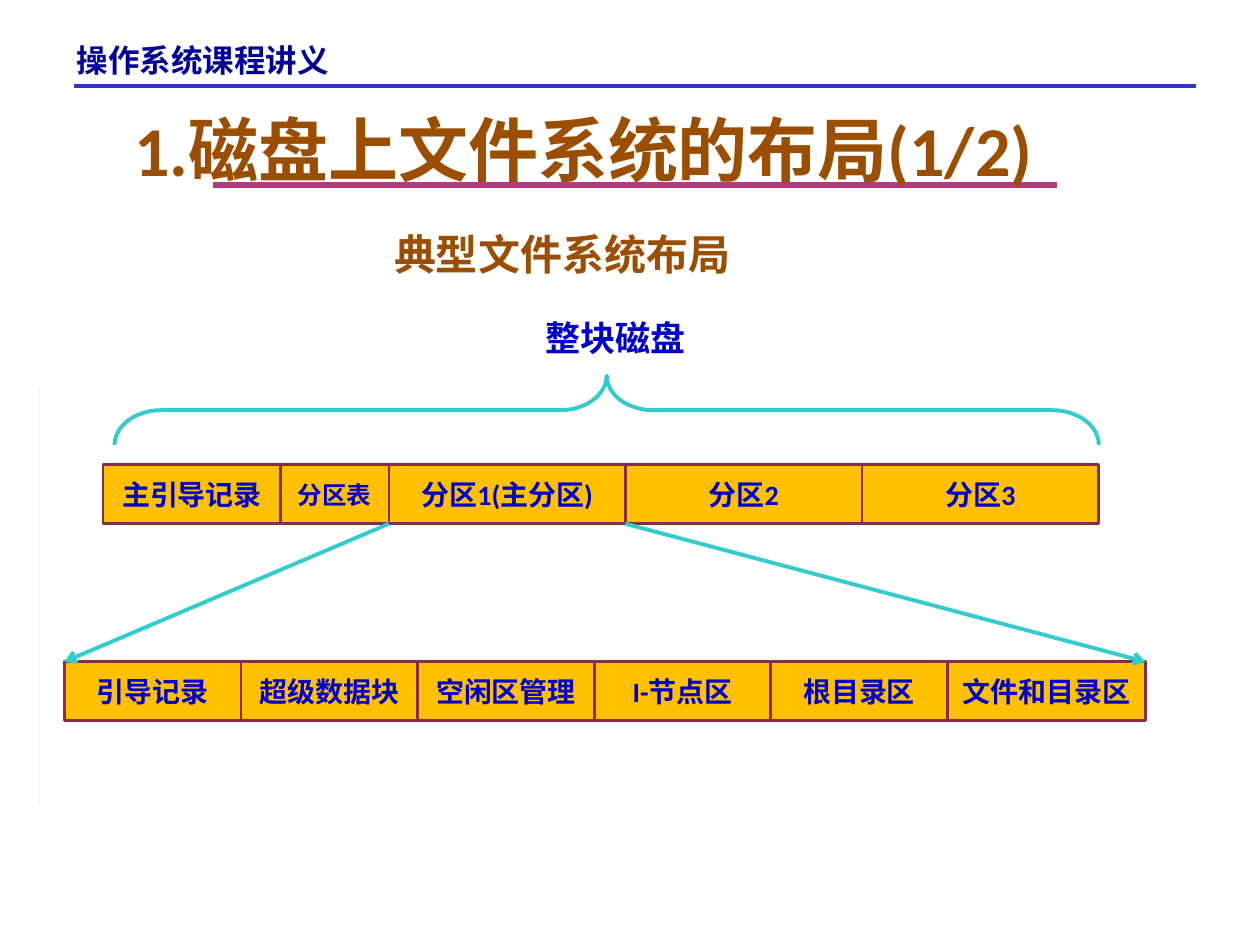
from lxml import etree
from pptx import Presentation
from pptx.dml.color import RGBColor
from pptx.enum.shapes import MSO_CONNECTOR, MSO_SHAPE
from pptx.enum.text import MSO_ANCHOR, MSO_AUTO_SIZE, PP_ALIGN
from pptx.oxml.ns import qn
from pptx.util import Cm, Pt

STRAIGHT = MSO_CONNECTOR.STRAIGHT
RECTANGLE, BRACE = MSO_SHAPE.RECTANGLE, MSO_SHAPE.LEFT_BRACE
TOP, MIDDLE, BOTTOM = MSO_ANCHOR.TOP, MSO_ANCHOR.MIDDLE, MSO_ANCHOR.BOTTOM
LEFT, CENTER = PP_ALIGN.LEFT, PP_ALIGN.CENTER
NO_AUTOFIT = MSO_AUTO_SIZE.NONE

NAVY = RGBColor(0x00, 0x00, 0x99)
BLUE = RGBColor(0x00, 0x00, 0xCC)
HEADER_BLUE = RGBColor(0x33, 0x33, 0xCC)
BROWN = RGBColor(0x9C, 0x4E, 0x00)
MAGENTA = RGBColor(0xB2, 0x3A, 0x7D)
AMBER = RGBColor(0xFF, 0xC0, 0x00)
MAROON = RGBColor(0x86, 0x2C, 0x4C)
TEAL = RGBColor(0x33, 0xCC, 0xCC)
PALE = RGBColor(0xF0, 0xF0, 0xF0)

ROW_HEIGHT = 1.19
DISK_LEFT, DISK_TOP = 2.08, 9.37
DISK_BLOCKS = [("主引导记录", 3.58, 16), ("分区表", 2.18, 14),
               ("分区1(主分区)", 4.77, 16), ("分区2", 4.77, 16),
               ("分区3", 4.77, 16)]
PARTITION_LEFT, PARTITION_TOP = 1.3, 13.34
PARTITION_BLOCKS = [("引导记录", 3.56, 16), ("超级数据块", 3.56, 16),
                    ("空闲区管理", 3.56, 16), ("I-节点区", 3.56, 16),
                    ("根目录区", 3.56, 16), ("文件和目录区", 3.99, 16)]


def set_all(target, values):
    for name, value in values.items():
        setattr(target, name, value)


def place(shape, left, top, width, height):
    set_all(shape, {"left": Cm(left), "top": Cm(top),
                    "width": Cm(width), "height": Cm(height)})


def write(shape, text, size, color, font="Calibri", align=CENTER, anchor=MIDDLE):
    frame = shape.text_frame
    set_all(frame, {"word_wrap": True, "auto_size": NO_AUTOFIT,
                    "vertical_anchor": anchor})
    paragraph = frame.paragraphs[0]
    set_all(paragraph, {"text": text, "alignment": align, "space_before": Pt(0)})
    set_all(paragraph.runs[0].font, {"name": font, "size": Pt(size), "bold": True})
    paragraph.runs[0].font.color.rgb = color


def add_label(shapes, box, text, size, color, **style):
    label = shapes.add_textbox(*map(Cm, box))
    write(label, text, size, color, **style)


def add_line(shapes, start, end, color, width, arrow=False):
    line = shapes.add_connector(STRAIGHT, *map(Cm, start + end))
    line.line.color.rgb = color
    line.line.width = Pt(width)
    if arrow:
        etree.SubElement(line.line._get_or_add_ln(), qn("a:tailEnd"), type="arrow")
    etree.SubElement(line._element.spPr, qn("a:effectLst"))
    return line


def add_block_row(shapes, left, top, blocks):
    """Draw touching blocks from left to right and return their edges."""
    edges = [left]
    for text, width, size in blocks:
        block = shapes.add_shape(RECTANGLE, Cm(edges[-1]), Cm(top),
                                 Cm(width), Cm(ROW_HEIGHT))
        block.shadow.inherit = False
        block.fill.solid()
        block.fill.fore_color.rgb = AMBER
        block.line.color.rgb = MAROON
        block.line.width = Pt(1.5)
        write(block, text, size, BLUE)
        edges.append(edges[-1] + width)
    return edges


def add_disk_brace(shapes):
    brace = shapes.add_shape(BRACE, Cm(11.53), Cm(-1.65), Cm(1.4), Cm(19.84))
    brace.rotation = 90
    brace.adjustments[0] = 0.67
    brace.shadow.inherit = False
    brace.fill.background()
    brace.line.color.rgb = TEAL
    brace.line.width = Pt(2.25)


def add_margin_hairline(shapes):
    outline = shapes.build_freeform(Cm(0.79), Cm(7.8))
    outline.add_line_segments([(Cm(0.8), Cm(7.8)), (Cm(0.8), Cm(16.23)),
                               (Cm(0.79), Cm(16.23))])
    hairline = outline.convert_to_shape()
    hairline.shadow.inherit = False
    hairline.fill.solid()
    hairline.fill.fore_color.rgb = PALE
    hairline.line.fill.background()


def add_headings(slide):
    shapes = slide.shapes
    add_line(shapes, (1.5, 1.73), (24.1, 1.73), HEADER_BLUE, 2.25)
    add_label(shapes, (1.3, 0.71, 6.2, 0.61), "操作系统课程讲义", 18, NAVY,
              font="Arial", align=LEFT, anchor=TOP)

    title, subtitle = slide.placeholders
    place(title, 1.7, 1.73, 20.12, 2.24)
    write(title, "1.磁盘上文件系统的布局(1/2)", 40, BROWN, anchor=BOTTOM)
    underline = add_line(shapes, (4.29, 3.73), (21.31, 3.73), MAGENTA, 3)
    title._element.addprevious(underline._element)

    place(subtitle, 1.27, 4.47, 20.12, 13.46)
    properties = subtitle.text_frame.paragraphs[0]._p.get_or_add_pPr()
    properties.set("marL", "0")
    properties.set("indent", "0")
    etree.SubElement(properties, qn("a:buNone"))
    write(subtitle, "典型文件系统布局", 24, BROWN, anchor=TOP)


def add_disk_layout(shapes):
    disk_edges = add_block_row(shapes, DISK_LEFT, DISK_TOP, DISK_BLOCKS)
    partition_edges = add_block_row(shapes.add_group_shape().shapes, PARTITION_LEFT,
                                    PARTITION_TOP, PARTITION_BLOCKS)
    main_partition = disk_edges[2:4]
    for start, end in zip(main_partition, (partition_edges[0], partition_edges[-1])):
        add_line(shapes, (start, DISK_TOP + ROW_HEIGHT), (end, PARTITION_TOP),
                 TEAL, 2.25, arrow=True)
    add_disk_brace(shapes)
    add_label(shapes, (10.62, 6.2, 3.58, ROW_HEIGHT), "整块磁盘", 20, BLUE)


def main():
    deck = Presentation()
    deck.slide_width, deck.slide_height = Cm(25.4), Cm(19.05)
    slide = deck.slides.add_slide(deck.slide_layouts[1])
    add_margin_hairline(slide.shapes)
    add_headings(slide)
    add_disk_layout(slide.shapes)
    deck.save("out.pptx")


if __name__ == "__main__":
    main()
